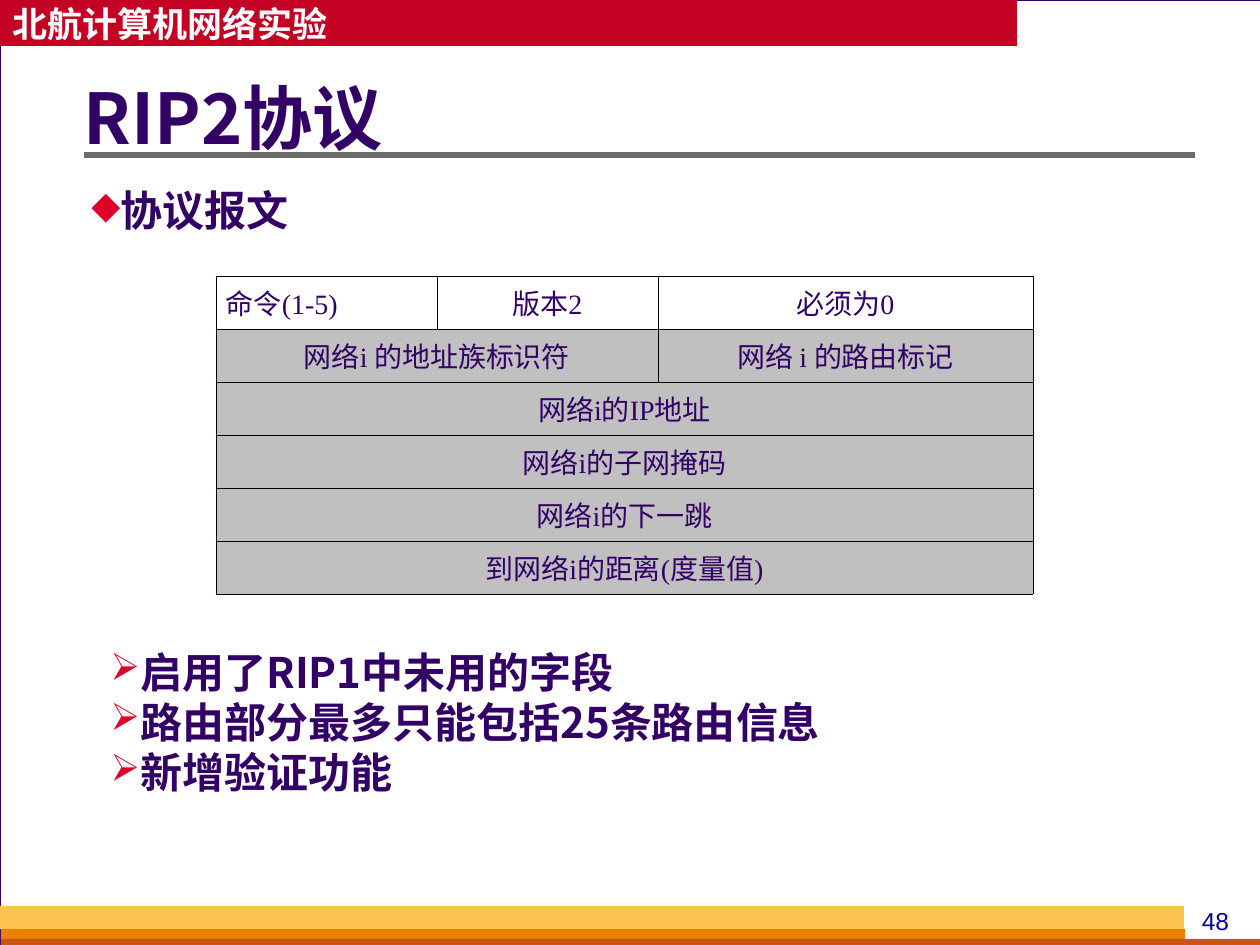
from lxml import etree
from pptx import Presentation, util as u
from pptx.dml.color import RGBColor
from pptx.enum import shapes, text
from pptx.oxml import ns

PX = 914400 / 126
SANS = "Noto Sans CJK SC"
INK, RED, GREY, BLACK, WHITE = "330066", "DF0029", "C0C0C0", "000000", "FFFFFF"
CENTER, MIDDLE = text.PP_ALIGN.CENTER, text.MSO_ANCHOR.MIDDLE


def px(length):
    return u.Emu(round(length * PX))


def color(value):
    return RGBColor.from_string(value)


def apply(target, **values):
    for name, value in values.items():
        setattr(target, name, value)


def add_xml(parent, tag, **attributes):
    return etree.SubElement(parent, ns.qn(tag), attributes)


def write(para, words, size, ink=INK, latin=SANS, asian=SANS, bold=False, **layout):
    apply(para, **layout)
    span = para.add_run()
    span.text = words
    apply(span.font, size=u.Pt(size), name=latin, bold=bold)
    span.font.color.rgb = color(ink)
    add_xml(span.font._element, "a:ea", typeface=asian)


def add_bullet(para, mark):
    props = para._p.get_or_add_pPr()
    apply_to = {"marL": "0", "indent": "0"}
    for name, value in apply_to.items():
        props.set(name, value)
    add_xml(add_xml(props, "a:buClr"), "a:srgbClr", val=RED)
    add_xml(props, "a:buSzPct", val="90000")
    add_xml(props, "a:buChar", char=mark)


def add_bar(page, box, fill, line=None):
    bar = page.shapes.add_shape(shapes.MSO_SHAPE.RECTANGLE, *map(px, box))
    bar.shadow.inherit = False
    bar.fill.solid()
    bar.fill.fore_color.rgb = color(fill)
    if line:
        bar.line.color.rgb = color(line)
        bar.line.width = u.Pt(0.75)
    else:
        bar.line.fill.background()
    return bar


def add_text_box(page, box, **frame_values):
    frame = page.shapes.add_textbox(*map(px, box)).text_frame
    apply(frame, word_wrap=True, **frame_values)
    return frame


def add_header(page, box):
    left, top, width, height = box
    frame = add_bar(page, (left, top, width, height), "C30224").text_frame
    apply(frame, word_wrap=False, vertical_anchor=MIDDLE)
    write(frame.paragraphs[0], "北航计算机网络实验", 20, WHITE, bold=True,
          alignment=text.PP_ALIGN.LEFT)


def add_footer(page, box):
    left, top, width, height = box
    bar_width = 1184
    add_bar(page, (left + 1, top + 23, bar_width, 10), "E88000")
    add_bar(page, (left + 1, top + 33, width, 10), "C95616")
    add_bar(page, (left, top, bar_width, 23), "FCC24F")
    frame = add_text_box(page, (left + 1176, top - 6, 79, height))
    write(frame.paragraphs[0], "48", 14, "000099", "Arial",
          alignment=CENTER, space_before=u.Pt(8.8))


def add_title(page, box):
    left, top, width, height = box
    rule_y = top + 97
    rule = page.shapes.add_connector(
        shapes.MSO_CONNECTOR.STRAIGHT,
        *map(px, (left, rule_y, left + width, rule_y)))
    rule.line.color.rgb = color("6B6B6B")
    rule.line.width = u.Pt(3)
    add_xml(rule._element.spPr, "a:effectLst")
    frame = add_text_box(page, box, vertical_anchor=MIDDLE, margin_left=0)
    write(frame.paragraphs[0], "RIP2协议", 40, bold=True, line_spacing=0.9)


def add_list(page, box, mark, items):
    frame = add_text_box(page, box)
    for index, item in enumerate(items):
        para = frame.add_paragraph() if index else frame.paragraphs[0]
        write(para, item, 24, bold=True)
        add_bullet(para, mark)


def add_cell_borders(cell):
    props = cell._tc.get_or_add_tcPr()
    for index, side in enumerate(("a:lnL", "a:lnR", "a:lnT", "a:lnB")):
        edge = etree.Element(ns.qn(side), w=str(u.Pt(0.45)))
        add_xml(add_xml(edge, "a:solidFill"), "a:srgbClr", val=BLACK)
        props.insert(index, edge)


def add_message_table(page, box):
    """Each row lists (words, column span) pairs."""
    rows = [
        [("命令(1-5)", 1), ("版本2", 1), ("必须为0", 1)],
        [("网络i 的地址族标识符", 2), ("网络 i 的路由标记", 1)],
        [("网络i的IP地址", 3)],
        [("网络i的子网掩码", 3)],
        [("网络i的下一跳", 3)],
        [("到网络i的距离(度量值)", 3)],
    ]
    left, top, width, height = box
    narrow = 221
    widths = (narrow, narrow, width - 2 * narrow)
    table = page.shapes.add_table(len(rows), len(widths), *map(px, box)).table
    apply(table, first_row=False, horz_banding=False)
    for column, column_width in zip(table.columns, widths):
        column.width = px(column_width)
    for row in table.rows:
        row.height = px(height / len(rows))
    for r, entries in enumerate(rows):
        c = 0
        for words, span in entries:
            cell = table.cell(r, c)
            if span > 1:
                cell.merge(table.cell(r, c + span - 1))
            first = r == c == 0
            write(cell.text_frame.paragraphs[0], words, 16,
                  latin="Times New Roman",
                  alignment=text.PP_ALIGN.JUSTIFY if first else CENTER)
            c += span
        for cell in table.rows[r].cells:
            apply(cell, vertical_anchor=MIDDLE, margin_left=px(10),
                  margin_right=px(10))
            if r:
                cell.fill.solid()
                cell.fill.fore_color.rgb = color(GREY)
            else:
                cell.fill.background()
            add_cell_borders(cell)


def main():
    deck = Presentation()
    apply(deck, slide_width=px(1260), slide_height=px(945))
    page = deck.slides.add_slide(deck.slide_layouts[6])
    page.background.fill.solid()
    page.background.fill.fore_color.rgb = color("D8DADA")
    add_bar(page, (0, 0, 1261, 945), WHITE, INK)
    add_header(page, (0, 0, 1017, 46))
    add_footer(page, (0, 906, 1260, 43))
    add_title(page, (84, 58, 1111, 127))
    add_message_table(page, (216, 276, 817, 318))
    add_list(page, (79, 178, 1033, 63), "◆", ["协议报文"])
    add_list(page, (98, 640, 1063, 164), "➢", [
        "启用了RIP1中未用的字段",
        "路由部分最多只能包括25条路由信息",
        "新增验证功能",
    ])
    deck.save("out.pptx")


if __name__ == "__main__":
    main()
